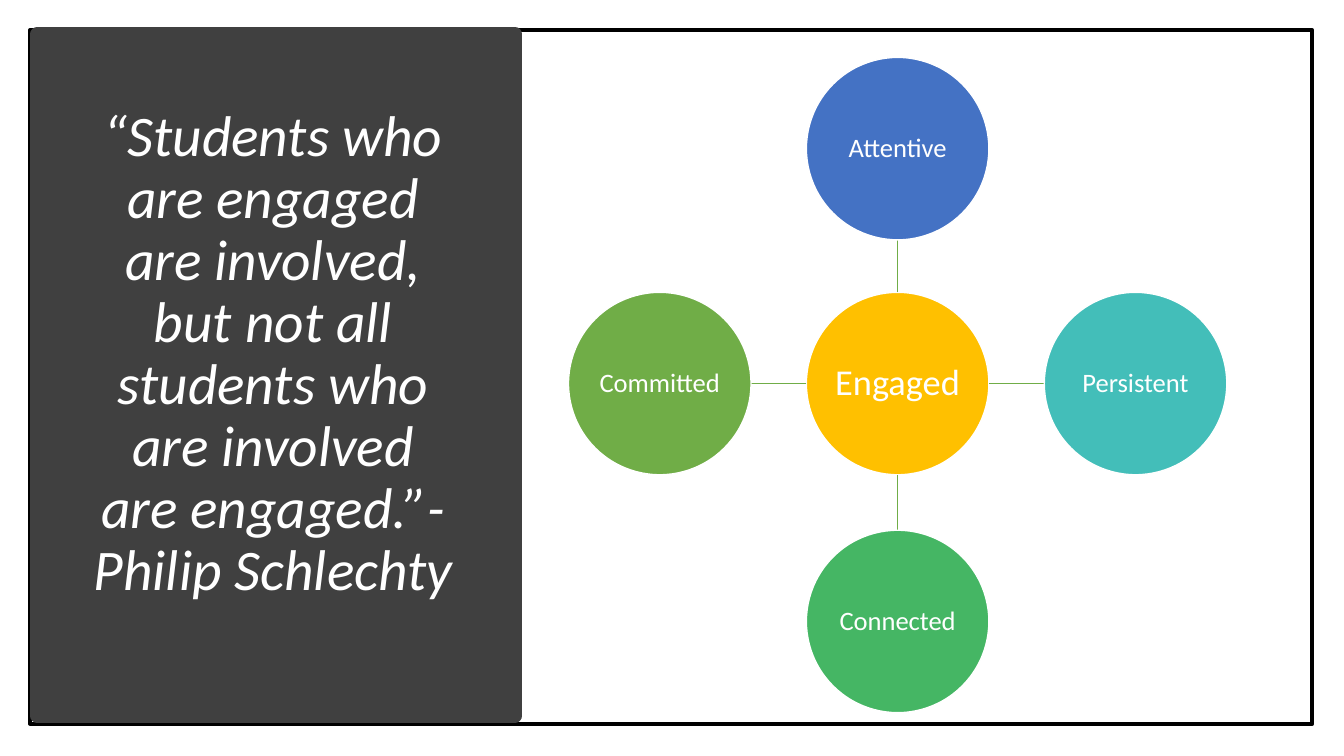
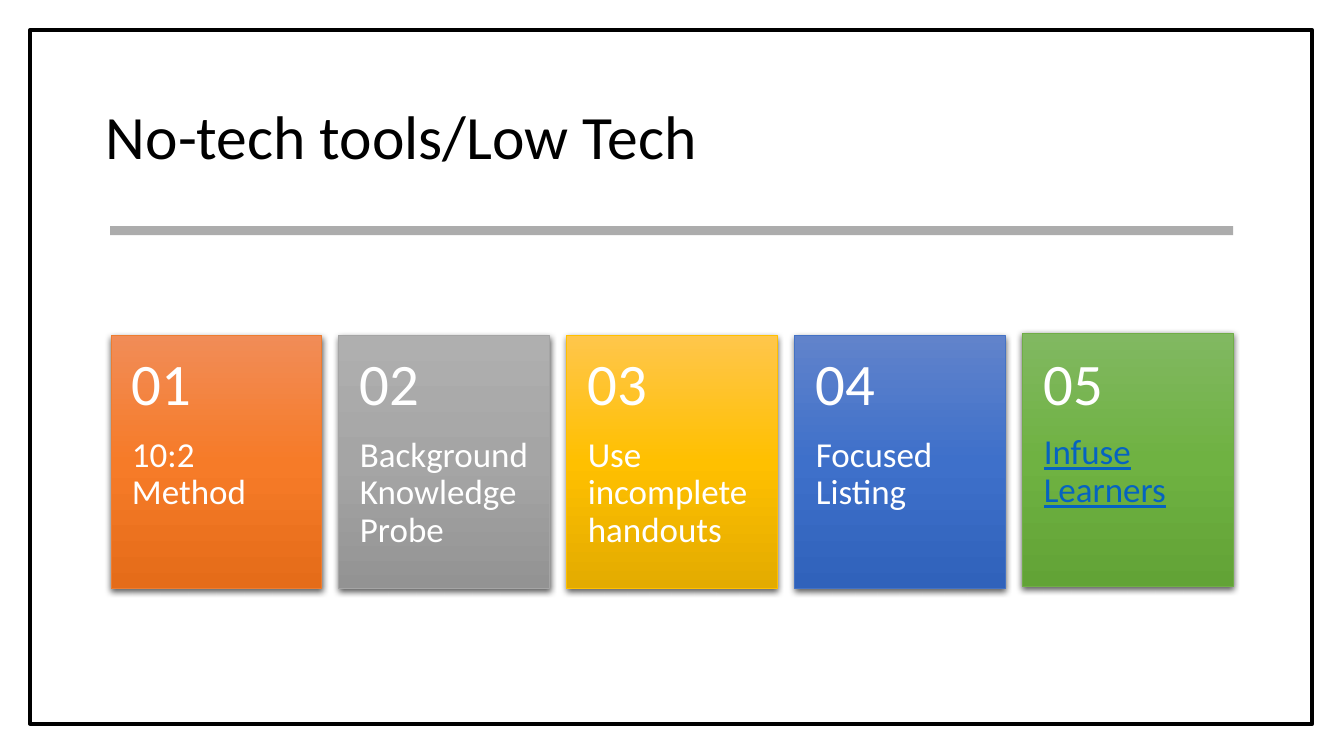
import lxml.etree
import pptx
import pptx.dml.color
import pptx.enum.shapes
import pptx.enum.text
import pptx.oxml
import pptx.oxml.ns
import pptx.util

COLORS = {
    "ink": "000000", "paper": "FFFFFF", "panel": "404040", "rule": "808080",
    "hub": "FFC000", "blue": "4472C4", "teal": "43BEB9", "mint": "45B664",
    "green": "70AD47", "orange": "ED7D31", "gray": "A5A5A5", "link": "0563C1",
}
FONT = "Calibri"
DRAWING_NS = pptx.oxml.ns.nsdecls("a")
KIND = pptx.enum.shapes.MSO_SHAPE
ALIGN = pptx.enum.text.PP_ALIGN
ANCHOR = pptx.enum.text.MSO_ANCHOR

deck = pptx.Presentation()
deck.slide_width = pptx.util.Inches(13.333)
deck.slide_height = pptx.util.Inches(7.5)
title_only = deck.slide_layouts[5]


def place(x, y, w, h):
    """Turn percentages of the slide's width and height into lengths."""
    return [pptx.util.Emu(round(share * side / 100)) for share, side in
            zip((x, y, w, h), (deck.slide_width, deck.slide_height) * 2)]


def write(shape, text, size, color, align=ALIGN.LEFT, anchor=ANCHOR.MIDDLE, margins=None):
    """Put one formatted run in a shape; margins are left, top, right, bottom shares."""
    frame = shape.text_frame
    frame.word_wrap = True
    frame.auto_size = pptx.enum.text.MSO_AUTO_SIZE.NONE
    frame.vertical_anchor = anchor
    if margins:
        (frame.margin_left, frame.margin_top,
         frame.margin_right, frame.margin_bottom) = place(*margins)
    paragraph = frame.paragraphs[0]
    paragraph.alignment = align
    paragraph.line_spacing = 0.9
    run = paragraph.add_run()
    run.text = text
    run.font.name = FONT
    run.font.size = pptx.util.Pt(size)
    run.font.color.rgb = pptx.dml.color.RGBColor.from_string(COLORS[color])
    return run


involved, tools = [deck.slides.add_slide(title_only) for _ in range(2)]

# Shared frame, moved to the master behind everything else
border = involved.shapes.add_shape(KIND.RECTANGLE, *place(2.25, 4, 95.4, 91.73))
border.shadow.inherit = False
border.fill.solid()
border.fill.fore_color.rgb = pptx.dml.color.RGBColor.from_string(COLORS["paper"])
border.line.color.rgb = pptx.dml.color.RGBColor.from_string(COLORS["ink"])
border.line.width = pptx.util.Pt(3)
deck.slide_master.shapes.element.insert(2, border.element)

# Slide 1: quotation panel
panel = involved.shapes.add_shape(KIND.RECTANGLE, *place(2.78, 4.53, 35.55, 90.13))
panel.shadow.inherit = False
panel.fill.solid()
panel.fill.fore_color.rgb = pptx.dml.color.RGBColor.from_string(COLORS["panel"])
panel.line.color.rgb = pptx.dml.color.RGBColor.from_string(COLORS["panel"])
panel.line.width = pptx.util.Pt(10)

quote = involved.shapes.title
quote.left, quote.top, quote.width, quote.height = place(6.08, 10.8, 28.5, 72.4)
panel.element.addnext(quote.element)
write(quote, "“Students who are engaged are involved, but not all students who "
      "are involved are engaged.”- Philip Schlechty", 41, "paper", ALIGN.CENTER).font.italic = True

# Slide 1: qualities around the hub, as offsets from its centre
hub_x, hub_y = 66.79, 50.73
circle_w, circle_h = 13.58, 24.13
qualities = [
    ("Engaged", "hub", 26, 0, 0),
    ("Attentive", "blue", 19, 0, -31.07),
    ("Persistent", "teal", 19, 17.7, 0),
    ("Connected", "mint", 19, 0, 31.47),
    ("Committed", "green", 19, -17.7, 0),
]
for quality, color, size, dx, dy in qualities:
    if dx or dy:
        near = circle_w / 2 / abs(dx) if dx else circle_h / 2 / abs(dy)
        far = 1 - near
        spoke = involved.shapes.add_connector(
            pptx.enum.shapes.MSO_CONNECTOR.STRAIGHT,
            *place(hub_x + dx * near, hub_y + dy * near, hub_x + dx * far, hub_y + dy * far))
        spoke.line.color.rgb = pptx.dml.color.RGBColor.from_string(COLORS["green"])
        spoke.line.width = pptx.util.Pt(1)
        lxml.etree.SubElement(spoke.element.spPr, pptx.oxml.ns.qn("a:effectLst"))
    circle = involved.shapes.add_shape(KIND.OVAL, *place(
        hub_x + dx - circle_w / 2, hub_y + dy - circle_h / 2, circle_w, circle_h))
    circle.shadow.inherit = False
    circle.fill.solid()
    circle.fill.fore_color.rgb = pptx.dml.color.RGBColor.from_string(COLORS[color])
    circle.line.color.rgb = pptx.dml.color.RGBColor.from_string(COLORS["paper"])
    circle.line.width = pptx.util.Pt(1)
    write(circle, quality, size, "paper", ALIGN.CENTER, margins=(0.1, 0.1, 0.1, 0.1))
    circle.text_frame.word_wrap = False

# Slide 2: heading and rule
heading = tools.shapes.title
heading.left, heading.top, heading.width, heading.height = place(7.13, 8.8, 85.75, 19.33)
write(heading, "No-tech tools/Low Tech", 44, "ink")

rule = tools.shapes.add_shape(KIND.RECTANGLE, *place(8.2, 29.9, 83.55, 1.2))
rule.shadow.inherit = False
rule.fill.solid()
rule.fill.fore_color.rgb = pptx.dml.color.RGBColor.from_string(COLORS["rule"])
rule.line.fill.background()
rule_color = rule.element.spPr.find(".//" + pptx.oxml.ns.qn("a:srgbClr"))
lxml.etree.SubElement(rule_color, pptx.oxml.ns.qn("a:alpha"), val="65000")

# Slide 2: numbered cards, the last one raised slightly
cards = [
    ("10:2 Method", "orange", "paper", ("F18C57", "F67B28", "E56C19"), 0),
    ("Background Knowledge Probe", "gray", "paper", ("AFAFAF", "A5A5A5", "939393"), 0),
    ("Use incomplete handouts", "hub", "paper", ("FFC64B", "FFC000", "E3AB00"), 0),
    ("Focused Listing", "blue", "paper", ("6183CB", "3E70CA", "3062BB"), 0),
    ("Infuse Learners", "green", "link", ("81B861", "6FB242", "62A336"), 0.3),
]
card_left, card_top, card_w, card_h, card_pitch = 8.25, 44.4, 15.67, 33.47, 16.96
number_h = 13.4
for index, (tool, edge, ink, shades, lift) in enumerate(cards):
    left = card_left + index * card_pitch
    top = card_top - lift
    card = tools.shapes.add_shape(KIND.RECTANGLE, *place(left, top, card_w, card_h))
    card.line.color.rgb = pptx.dml.color.RGBColor.from_string(COLORS[edge])
    card.line.width = pptx.util.Pt(0.5)
    stops = "".join(f'<a:gs pos="{step * 50000}"><a:srgbClr val="{shade}"/></a:gs>'
                    for step, shade in enumerate(shades))
    card.element.spPr.find(pptx.oxml.ns.qn("a:prstGeom")).addnext(pptx.oxml.parse_xml(
        f'<a:gradFill {DRAWING_NS} rotWithShape="1"><a:gsLst>{stops}</a:gsLst>'
        '<a:lin ang="5400000" scaled="0"/></a:gradFill>'))
    card.shadow.inherit = False
    card.element.spPr.find(pptx.oxml.ns.qn("a:effectLst")).append(pptx.oxml.parse_xml(
        f'<a:outerShdw {DRAWING_NS} blurRad="57150" dist="19050" dir="5400000" algn="ctr" '
        'rotWithShape="0"><a:srgbClr val="000000"><a:alpha val="63000"/></a:srgbClr>'
        '</a:outerShdw>'))

    label = tools.shapes.add_textbox(*place(left, top + number_h, card_w, card_h - number_h))
    label_run = write(label, tool, 25, ink, anchor=ANCHOR.TOP, margins=(1.57, 0, 1.57, 4.8))
    label_run.font.underline = ink == "link"
    number = tools.shapes.add_textbox(*place(left, card_top, card_w, number_h))
    write(number, f"{index + 1:02}", 42, "paper", margins=(1.57, 2.4, 1.57, 2.4))

deck.save("out.pptx")
